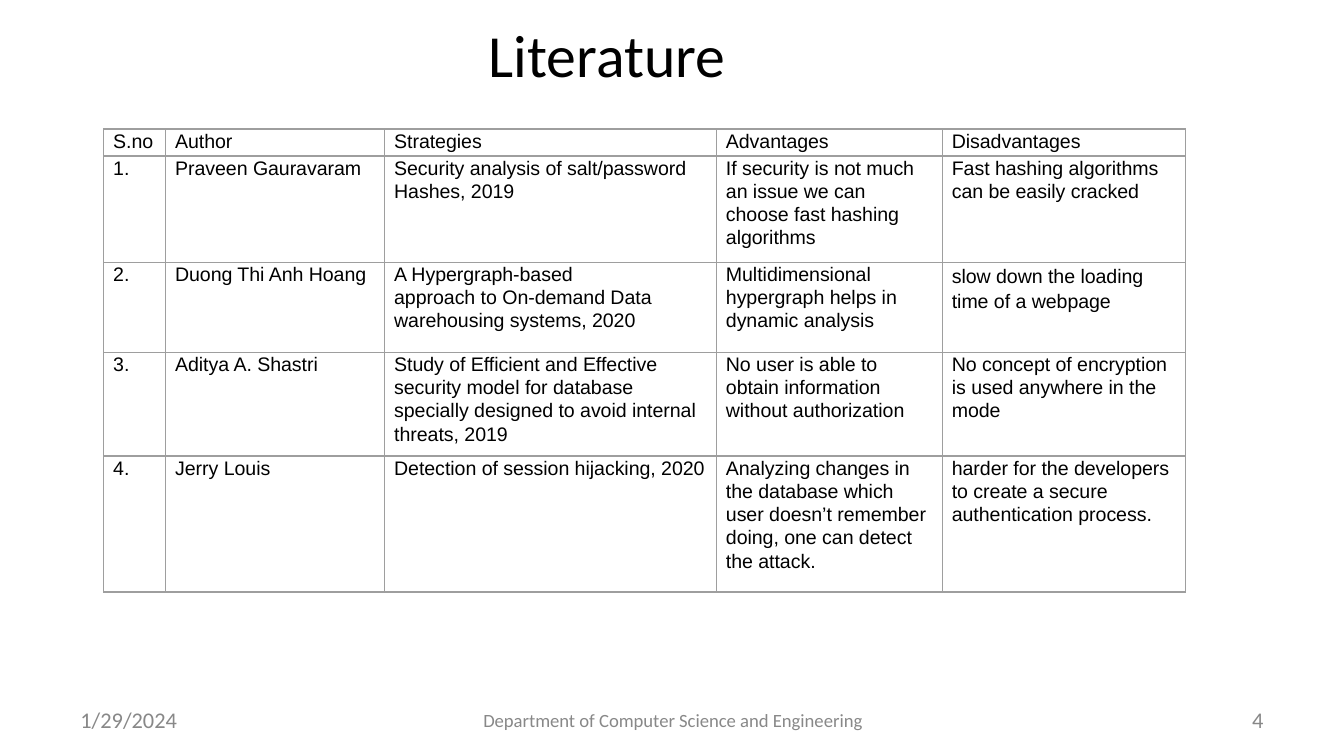
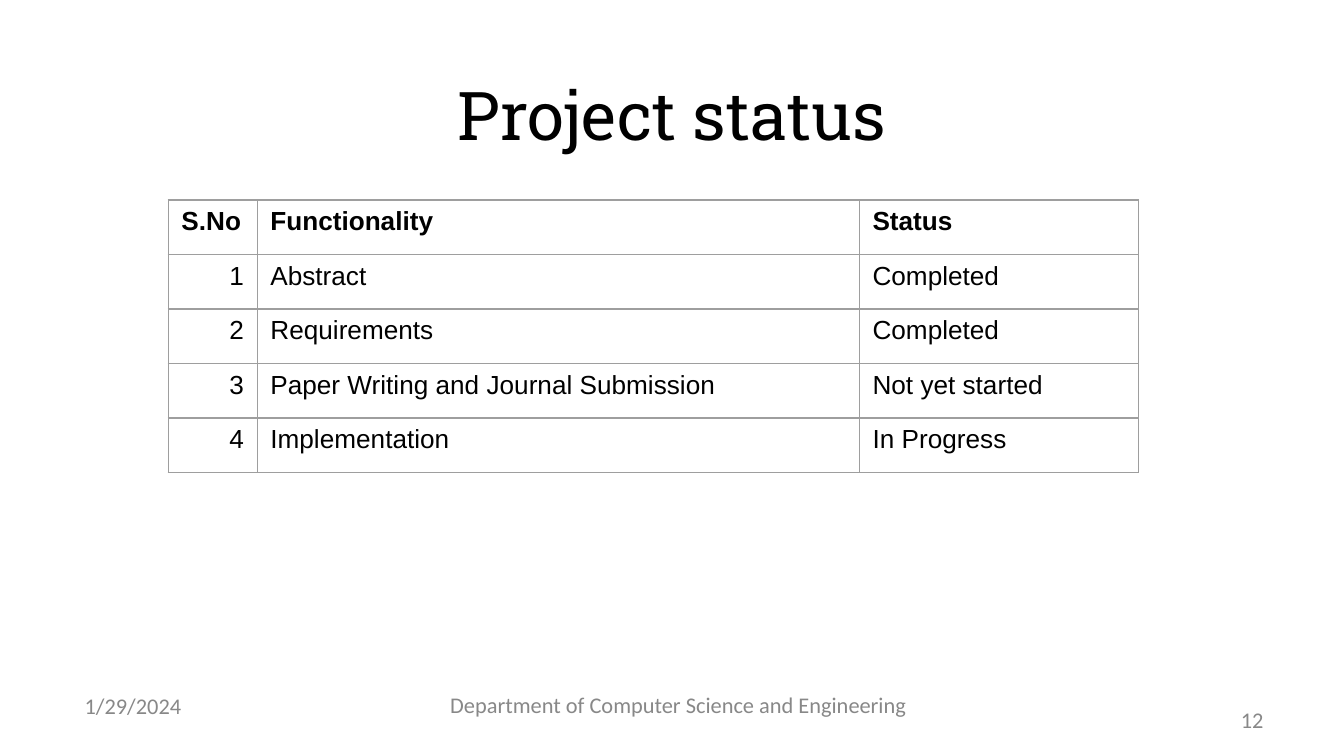
from dataclasses import dataclass

from lxml import etree
from pptx import Presentation
from pptx import util as u
from pptx.dml import color
from pptx.enum import text
from pptx.oxml import ns

Cm = u.Cm
LEFT, MID, RIGHT = text.PP_ALIGN.LEFT, text.PP_ALIGN.CENTER, text.PP_ALIGN.RIGHT


@dataclass(frozen=True)
class Theme:
    ink: str = "000000"
    gray: str = "888888"
    rule: str = "9E9E9E"
    line: float = 0.75
    sans: str = "Calibri"
    body: str = "Arial"
    slab: str = "Roboto Slab"
    small: float = 10
    foot: float = 12
    dense: float = 10.5
    cell: float = 14


class Deck:
    def __init__(self, theme):
        self.theme = theme
        self.prs = Presentation()
        self.prs.slide_width, self.prs.slide_height = Cm(25.4), Cm(14.29)
        self.slide = None

    def page(self):
        self.slide = self.prs.slides.add_slide(self.prs.slide_layouts[6])

    def style(self, par, face, size, tint, align, bold=False):
        font = par.font
        font.name, font.size, font.bold = face, u.Pt(size), bold
        font.color.rgb = color.RGBColor.from_string(tint)
        par.alignment = align

    def label(self, words, box, face, size, tint, align):
        frame = self.slide.shapes.add_textbox(*map(Cm, box)).text_frame
        frame.word_wrap = True
        frame.vertical_anchor = text.MSO_ANCHOR.MIDDLE
        frame.text = words
        self.style(frame.paragraphs[0], face, size, tint, align)

    def title(self, words, box, face, size):
        self.label(words, box, face, size, self.theme.ink, MID)

    def footer(self, number, date, dept, size):
        t = self.theme
        for words, box, points, align in (
            (number, (18.21, 13.23, 5.92, 0.76), t.foot, RIGHT),
            ("1/29/2024", (*date, 5.92, 0.76), t.foot, LEFT),
            ("Department of Computer Science and Engineering",
             (*dept, 0.76), size, MID),
        ):
            self.label(words, box, t.sans, points, t.gray, align)

    def border(self, cell):
        props = cell._tc.get_or_add_tcPr()
        for side in ("lnL", "lnR", "lnT", "lnB"):
            edge = etree.SubElement(props, ns.qn(f"a:{side}"), w=str(u.Pt(self.theme.line)))
            fill = etree.SubElement(edge, ns.qn("a:solidFill"))
            etree.SubElement(fill, ns.qn("a:srgbClr"), val=self.theme.rule)

    def table(self, spot, cols, rows, data, size, inset=(0.25, 0.13),
              space=None, bold=False, count=LEFT):
        x, y = spot
        grid = self.slide.shapes.add_table(
            len(rows), len(cols), Cm(x), Cm(y), Cm(sum(cols)), Cm(sum(rows))).table
        grid.first_row = grid.horz_banding = False
        for col, width in zip(grid.columns, cols):
            col.width = Cm(width)
        for row, height in zip(grid.rows, rows):
            row.height = Cm(height)
        for r, line in enumerate(data):
            for c, words in enumerate(line):
                cell = grid.cell(r, c)
                cell.margin_left = cell.margin_right = Cm(inset[0])
                cell.margin_top = cell.margin_bottom = Cm(inset[1])
                self.border(cell)
                cell.fill.background()
                cell.text = words
                align = count if r and not c else LEFT
                for par in cell.text_frame.paragraphs:
                    self.style(par, self.theme.body, size, self.theme.ink,
                               align, bold and r == 0)
                    if space:
                        par.line_spacing = space
        return grid


PAPERS = (
    ("S.no", "Author", "Strategies", "Advantages", "Disadvantages"),
    ("1.", "Praveen Gauravaram",
     "Security analysis of salt/password\nHashes, 2019",
     "If security is not much an issue we can choose fast hashing algorithms",
     "Fast hashing algorithms can be easily cracked"),
    ("2.", "Duong Thi Anh Hoang",
     "A Hypergraph-based\napproach to On-demand Data warehousing systems, 2020",
     "Multidimensional hypergraph helps in dynamic analysis",
     "slow down the loading time of a webpage"),
    ("3.", "Aditya A. Shastri",
     "Study of Efficient and Effective security model for database "
     "specially designed to avoid internal threats, 2019",
     "No user is able to obtain information without authorization",
     "No concept of encryption is used anywhere in the mode"),
    ("4.", "Jerry Louis",
     "Detection of session hijacking, 2020",
     "Analyzing changes in the database which user doesn’t remember doing, "
     "one can detect the attack.",
     "harder for the developers to create a secure authentication process."),
)

TASKS = (
    ("S.No", "Functionality", "Status"),
    ("1", "Abstract", "Completed"),
    ("2", "Requirements", "Completed"),
    ("3", "Paper Writing and Journal Submission", "Not yet started"),
    ("4", "Implementation", "In Progress"),
)


def papers(deck):
    t = deck.theme
    deck.page()
    deck.title("Literature ", (3.1, 0.13, 17, 1.75), t.sans, 32)
    deck.footer("4", (1.27, 13.23), (8.69, 13.23, 8.05), t.small)
    grid = deck.table((1.96, 2.44), (1.17, 4.14, 6.27, 4.27, 4.6),
                      (0.51, 2.01, 1.7, 1.96, 2.57), PAPERS, t.dense,
                      inset=(0.18, 0), space=1.07)
    grid.cell(2, 4).text_frame.paragraphs[0].line_spacing = 1.15


def status(deck):
    t = deck.theme
    deck.page()
    deck.title("Project status", (0, 1.27, 25.4, 1.75), t.slab, 36)
    deck.table((3.18, 3.78), (1.68, 11.38, 5.28), (1.03,) * len(TASKS),
               TASKS, t.cell, bold=True, count=RIGHT)
    deck.footer("12", (1.35, 12.95), (8.15, 12.93, 9.35), t.foot)


def main():
    deck = Deck(Theme())
    papers(deck)
    status(deck)
    deck.prs.save("out.pptx")


if __name__ == "__main__":
    main()
